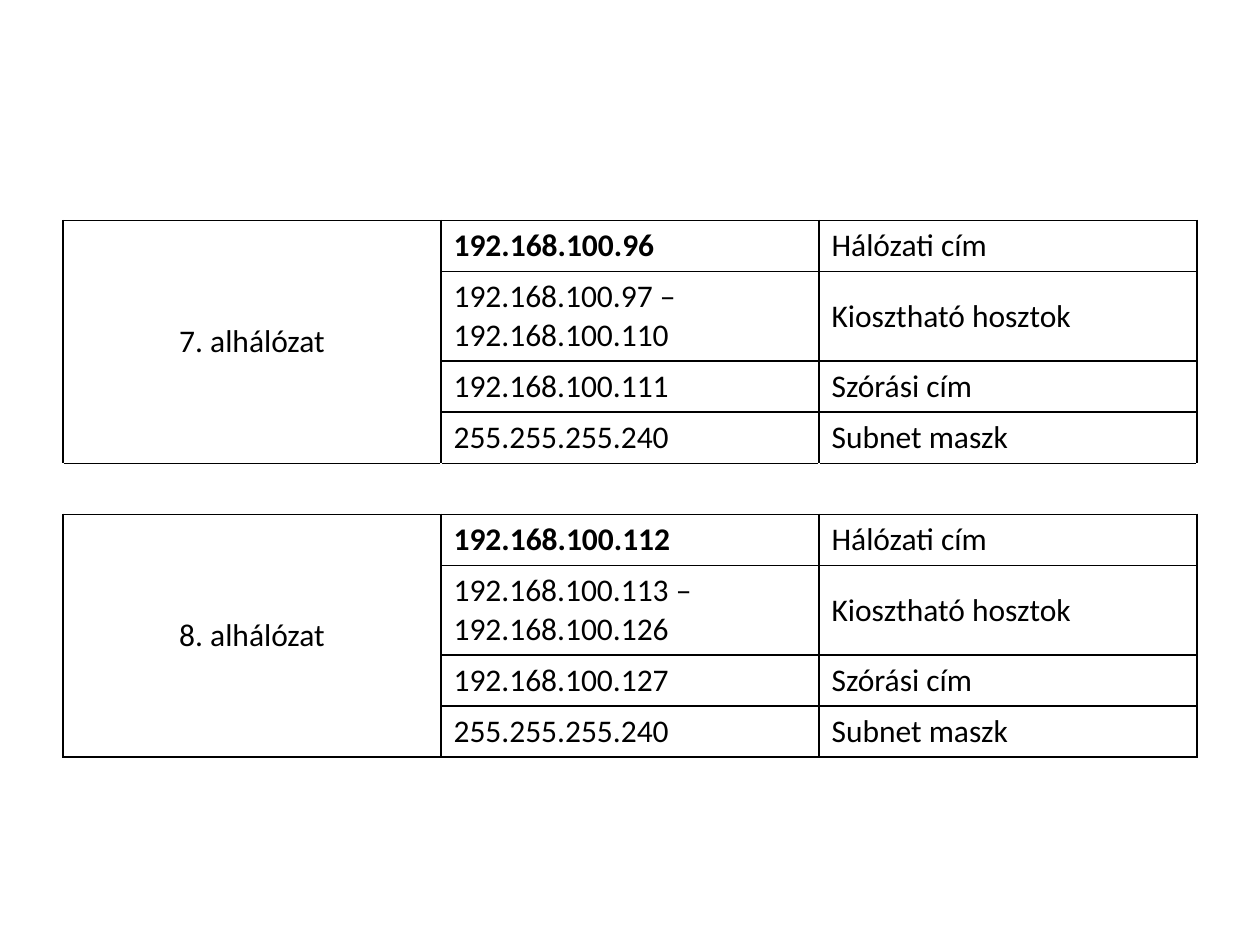
from lxml import etree
from pptx import Presentation
from pptx import util as u
from pptx.dml.color import RGBColor
from pptx.enum import text
from pptx.oxml import ns

SUBNETS = [
    ("7. alhálózat", ["192.168.100.96", "192.168.100.97 –\n192.168.100.110",
                      "192.168.100.111", "255.255.255.240"]),
    ("8. alhálózat", ["192.168.100.112", "192.168.100.113 –\n192.168.100.126",
                      "192.168.100.127", "255.255.255.240"]),
]
ROLES = ["Hálózati cím", "Kiosztható hosztok", "Szórási cím", "Subnet maszk"]
BLACK = "000000"
FONT = {"name": "Calibri", "size": u.Pt(18), "bold": False}
LEFT, TOP, COLUMN_WIDTH = 0.5, 1.75, 3
LINE_HEIGHT, PAIR_HEIGHT = 0.4, 0.71
BLOCK = len(ROLES) + 1


def color(value):
    return RGBColor.from_string(value)


def write(cell, content, bold=False, align=text.PP_ALIGN.LEFT,
          anchor=text.MSO_ANCHOR.MIDDLE):
    cell.text = content
    cell.vertical_anchor = anchor
    for paragraph in cell.text_frame.paragraphs:
        paragraph.alignment = align
        for run in paragraph.runs:
            for key, value in {**FONT, "bold": bold}.items():
                setattr(run.font, key, value)
            run.font.color.rgb = color(BLACK)


def add_borders(cell, sides):
    properties = cell._tc.get_or_add_tcPr()
    for side in sides:
        line = etree.SubElement(properties, ns.qn(f"a:ln{side}"), w=str(u.Pt(1)))
        fill = etree.SubElement(line, ns.qn("a:solidFill"))
        etree.SubElement(fill, ns.qn("a:srgbClr"), val=BLACK)


def main():
    deck = Presentation()
    deck.slide_width, deck.slide_height = u.Inches(10), u.Inches(7.5)
    slide = deck.slides.add_slide(deck.slide_layouts[6])

    row_count = BLOCK * len(SUBNETS) - 1
    grid = slide.shapes.add_table(
        row_count, 3, u.Inches(LEFT), u.Inches(TOP),
        u.Inches(3 * COLUMN_WIDTH), u.Inches(row_count * LINE_HEIGHT)).table
    grid.first_row = grid.horz_banding = False
    for column in grid.columns:
        column.width = u.Inches(COLUMN_WIDTH)

    for index, row in enumerate(grid.rows):
        is_gap = index % BLOCK == len(ROLES)
        row.height = u.Inches(LINE_HEIGHT)
        for cell in row.cells:
            add_borders(cell, "TB" if is_gap else "LRTB")
            cell.fill.background()

    for block, (subnet, addresses) in enumerate(SUBNETS):
        first = block * BLOCK
        label = grid.cell(first, 0)
        label.merge(grid.cell(first + len(ROLES) - 1, 0))
        write(label, subnet, align=text.PP_ALIGN.CENTER)
        for offset, (address, role) in enumerate(zip(addresses, ROLES)):
            if "\n" in address:
                grid.rows[first + offset].height = u.Inches(PAIR_HEIGHT)
            write(grid.cell(first + offset, 1), address, bold=offset == 0,
                  anchor=text.MSO_ANCHOR.TOP)
            write(grid.cell(first + offset, 2), role)

    deck.save("out.pptx")


if __name__ == "__main__":
    main()
